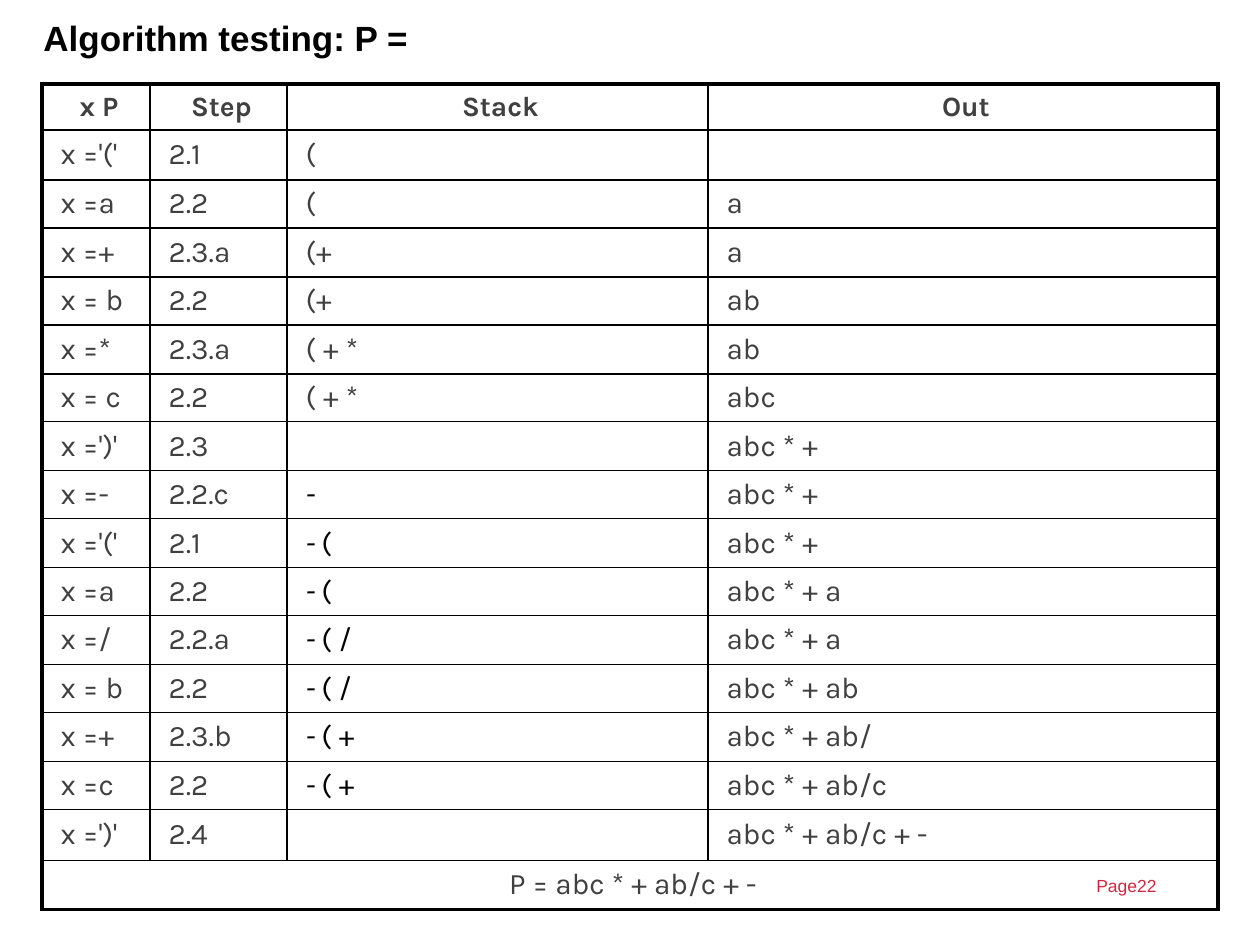
import pptx
import pptx.dml.color
import pptx.enum.text
import pptx.oxml
import pptx.oxml.ns
import pptx.util

SCALE = 914400 / 126
BLACK, GREY, RED = "000000", "404040", "CF2941"
THICK, THIN = 2.25, 1
COLUMN_WIDTHS = [108, 137, 421, 510]
ROW_HEIGHTS = [46, 50] + [48, 49] * 6 + [48, 51, 49]

HEADERS = ["x P", "Step", "Stack", "Out"]
STEPS = [
    ("x ='('", "2.1", "(", ""),
    ("x =a", "2.2", "(", "a"),
    ("x =+", "2.3.a", "(+", "a"),
    ("x = b", "2.2", "(+", "ab"),
    ("x =*", "2.3.a", "( + *", "ab"),
    ("x = c", "2.2", "( + *", "abc"),
    ("x =')'", "2.3", "", "abc * +"),
    ("x =-", "2.2.c", "-", "abc * +"),
    ("x ='('", "2.1", "- (", "abc * +"),
    ("x =a", "2.2", "- (", "abc * + a"),
    ("x =/", "2.2.a", "- ( /", "abc * + a"),
    ("x = b", "2.2", "- ( /", "abc * + ab"),
    ("x =+", "2.3.b", "- ( +", "abc * + ab/"),
    ("x =c", "2.2", "- ( +", "abc * + ab/c"),
    ("x =')'", "2.4", "", "abc * + ab/c + -"),
]
RESULT = "P = abc * + ab/c + -"


def px(length):
    return pptx.util.Emu(round(length * SCALE))


def color(hex_code):
    return pptx.dml.color.RGBColor.from_string(hex_code)


def add_span(para, text, font, size, hex_code, bold=False, italic=False):
    span = para.add_run()
    span.text = text
    span.font.name = font
    span.font.size = pptx.util.Pt(size)
    span.font.bold = bold
    span.font.italic = italic
    span.font.color.rgb = color(hex_code)


def set_indent(para, left, first=0):
    properties = para._p.get_or_add_pPr()
    properties.set("marL", str(px(left)))
    properties.set("indent", str(px(first)))


def add_label(page, box, text, size, hex_code, bold=False):
    """Place one line of Arial text and return its paragraph."""
    label = page.shapes.add_textbox(*map(px, box))
    label.text_frame.word_wrap = True
    para = label.text_frame.paragraphs[0]
    add_span(para, text, "Arial", size, hex_code, bold)
    return para


def set_borders(cell, widths):
    """Draw the left, right, top and bottom borders, in points."""
    properties = cell._tc.get_or_add_tcPr()
    for position, (side, width) in enumerate(zip("LRTB", widths)):
        line = pptx.oxml.parse_xml(
            f'<a:ln{side} {pptx.oxml.ns.nsdecls("a")} w="{int(width * 12700)}">'
            f'<a:solidFill><a:srgbClr val="{BLACK}"/></a:solidFill></a:ln{side}>'
        )
        properties.insert(position, line)


def fill_cell(cell, text, size=17, bold=False, centred=False):
    cell.fill.background()
    cell.margin_top = cell.margin_bottom = 0
    cell.vertical_anchor = pptx.enum.text.MSO_ANCHOR.MIDDLE
    if not text:
        return
    para = cell.text_frame.paragraphs[0]
    para.space_before = pptx.util.Pt(size * 0.2)
    para.space_after = pptx.util.Pt(3)
    if centred:
        para.alignment = pptx.enum.text.PP_ALIGN.CENTER
    set_indent(para, 6)
    if text.startswith("-"):
        add_span(para, text[:2], "Karla", size, BLACK, italic=True)
        if text[2:]:
            add_span(para, text[2:], "Karla", size, BLACK)
    else:
        add_span(para, text, "Karla", size, GREY, bold)


def add_trace_table(page, box):
    """Place the header, one row for each step, and the merged result row."""
    rows = [HEADERS, *STEPS, (RESULT, "", "", "")]
    last_row, last_column = len(rows) - 1, len(HEADERS) - 1
    frame = page.shapes.add_table(len(rows), len(HEADERS), *map(px, box))
    table = frame.table
    table.first_row = table.horz_banding = False
    for column, width in zip(table.columns, COLUMN_WIDTHS):
        column.width = px(width)
    for row, height in zip(table.rows, ROW_HEIGHTS):
        row.height = px(height)
    table.cell(last_row, 0).merge(table.cell(last_row, last_column))

    for r, texts in enumerate(rows):
        header = r == 0
        for c, text in enumerate(texts):
            cell = table.cell(r, c)
            fill_cell(cell, text, 16 if header else 17, header, r in (0, last_row))
            right_edge = c == last_column or r == last_row
            outer = (c == 0, right_edge, header, r == last_row)
            set_borders(cell, [THICK if edge else THIN for edge in outer])


def main():
    deck = pptx.Presentation()
    deck.slide_width, deck.slide_height = px(1260), px(945)
    page = deck.slides.add_slide(deck.slide_layouts[6])
    add_label(page, (1084, 869, 151, 35), "Page22", 10, RED)
    title = add_label(page, (31, 10, 536, 54), "Algorithm testing: P =", 20, BLACK, True)
    set_indent(title, 48, -48)
    add_trace_table(page, (42, 84, sum(COLUMN_WIDTHS), sum(ROW_HEIGHTS)))
    deck.save("out.pptx")


if __name__ == "__main__":
    main()
